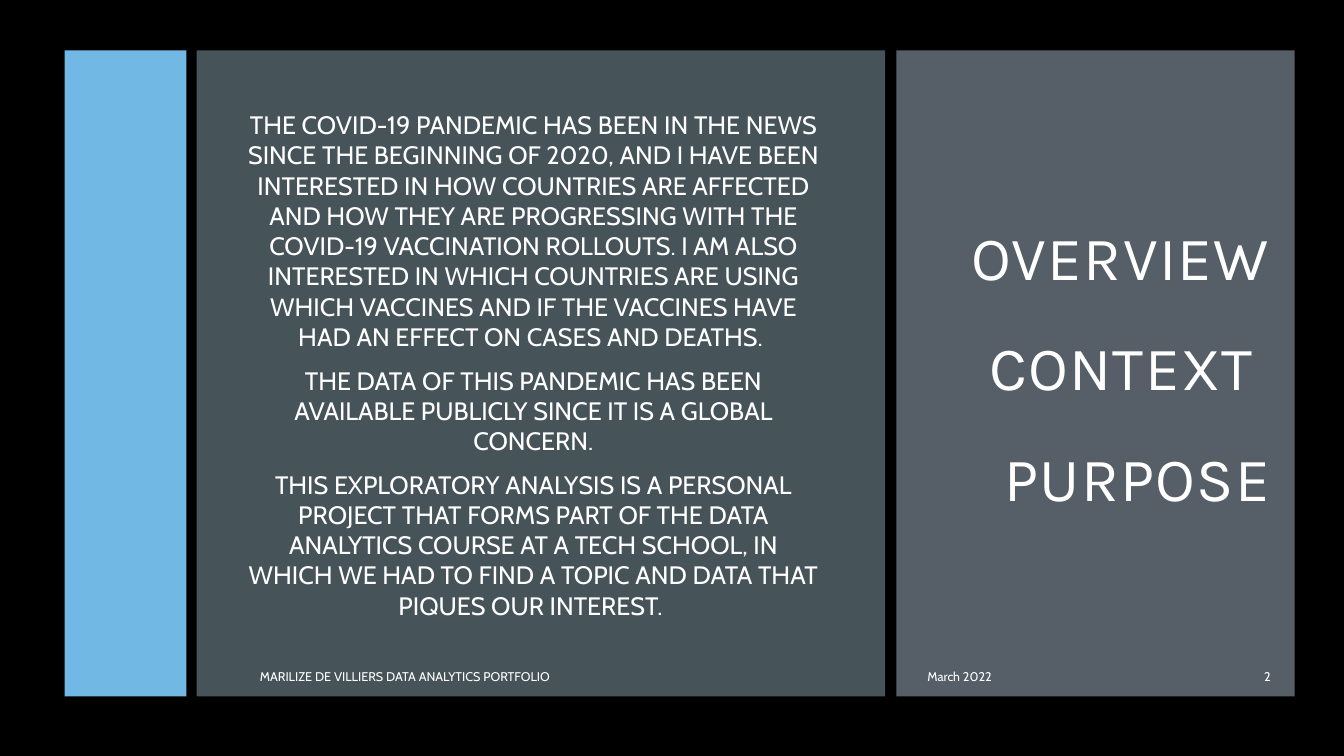
from pptx import Presentation
from pptx.dml.color import RGBColor
from pptx.enum.shapes import MSO_SHAPE as SHAPE
from pptx.enum.text import MSO_ANCHOR as ANCHOR, PP_ALIGN as ALIGN
from pptx.oxml.ns import qn
from pptx.util import Inches, Pt
from lxml import etree

COLORS = {
    "background": "000000",
    "accent": "71B9E4",
    "body": "465359",
    "title": "6C7781",
    "text": "FFFFFF",
}
BODY = [
    "THE COVID-19 PANDEMIC HAS BEEN IN THE NEWS SINCE THE BEGINNING OF 2020, "
    "AND I HAVE BEEN INTERESTED IN HOW COUNTRIES ARE AFFECTED AND HOW THEY ARE "
    "PROGRESSING WITH THE COVID-19 VACCINATION ROLLOUTS. I AM ALSO INTERESTED IN "
    "WHICH COUNTRIES ARE USING WHICH VACCINES AND IF THE VACCINES HAVE HAD AN "
    "EFFECT ON CASES AND DEATHS. ",
    "THE DATA OF THIS PANDEMIC HAS BEEN AVAILABLE PUBLICLY SINCE IT IS A GLOBAL CONCERN.",
    "THIS EXPLORATORY ANALYSIS IS A PERSONAL PROJECT THAT FORMS PART OF THE DATA "
    "ANALYTICS COURSE AT A TECH SCHOOL, IN WHICH WE HAD TO FIND A TOPIC AND DATA "
    "THAT PIQUES OUR INTEREST. ",
]
TITLE = "OVERVIEW\vCONTEXT \vPURPOSE"
PANEL_TOP, PANEL_HEIGHT = 0.5, 6.41
FOOTER_TOP, FOOTER_HEIGHT = 6.51, 0.4


def write_paragraph(p, text, font="Cabin", size=9, color="text", align=ALIGN.LEFT,
                    line=1.0, before=0, after=0, tracking=0):
    p.text = text
    p.alignment = align
    p.line_spacing = line
    p.space_before = Pt(before)
    p.space_after = Pt(after)
    for r in p.runs:
        r.font.name = font
        r.font.size = Pt(size)
        r.font.color.rgb = RGBColor.from_string(COLORS[color])
        if tracking:
            r.font._element.set("spc", str(tracking))


class SlideBuilder:
    def __init__(self, prs):
        self.slide = prs.slides.add_slide(prs.slide_layouts[6])
        fill = self.slide.background.fill
        fill.solid()
        fill.fore_color.rgb = RGBColor.from_string(COLORS["background"])

    def panel(self, left, width, color, opacity=100):
        sp = self.slide.shapes.add_shape(
            SHAPE.RECTANGLE, Inches(left), Inches(PANEL_TOP),
            Inches(width), Inches(PANEL_HEIGHT))
        sp.shadow.inherit = False
        sp.line.fill.background()
        sp.fill.solid()
        sp.fill.fore_color.rgb = RGBColor.from_string(COLORS[color])
        if opacity < 100:
            rgb = sp._element.spPr.find(".//" + qn("a:srgbClr"))
            etree.SubElement(rgb, qn("a:alpha")).set("val", str(opacity * 1000))

    def text(self, left, top, width, height, paragraphs, before=0, **style):
        box = self.slide.shapes.add_textbox(
            Inches(left), Inches(top), Inches(width), Inches(height))
        tf = box.text_frame
        tf.word_wrap = True
        tf.vertical_anchor = ANCHOR.MIDDLE
        for i, text in enumerate(paragraphs):
            p = tf.add_paragraph() if i else tf.paragraphs[0]
            write_paragraph(p, text, before=before if i else 0, **style)

    def footer(self, left, width, text, align=ALIGN.LEFT):
        self.text(left, FOOTER_TOP, width, FOOTER_HEIGHT, [text], align=align, after=6)


def main():
    prs = Presentation()
    prs.slide_width, prs.slide_height = Inches(13.33), Inches(7.5)
    s = SlideBuilder(prs)

    s.panel(0.64, 1.21, "accent")
    s.panel(1.95, 6.83, "body")
    s.panel(8.89, 3.95, "title", opacity=80)

    s.text(2.33, 1.04, 5.92, 5.16, BODY, size=18, align=ALIGN.CENTER, before=3.6, after=6)
    s.footer(2.48, 5.77, "MARILIZE DE VILLIERS DATA ANALYTICS PORTFOLIO")
    s.footer(9.1, 2.34, "March 2022")
    s.footer(11.55, 1.15, "2", align=ALIGN.RIGHT)
    s.text(9.17, 0.87, 3.53, 5.16, [TITLE], font="Karla", size=44,
           align=ALIGN.RIGHT, line=1.5, tracking=100)

    prs.save("out.pptx")


if __name__ == "__main__":
    main()
